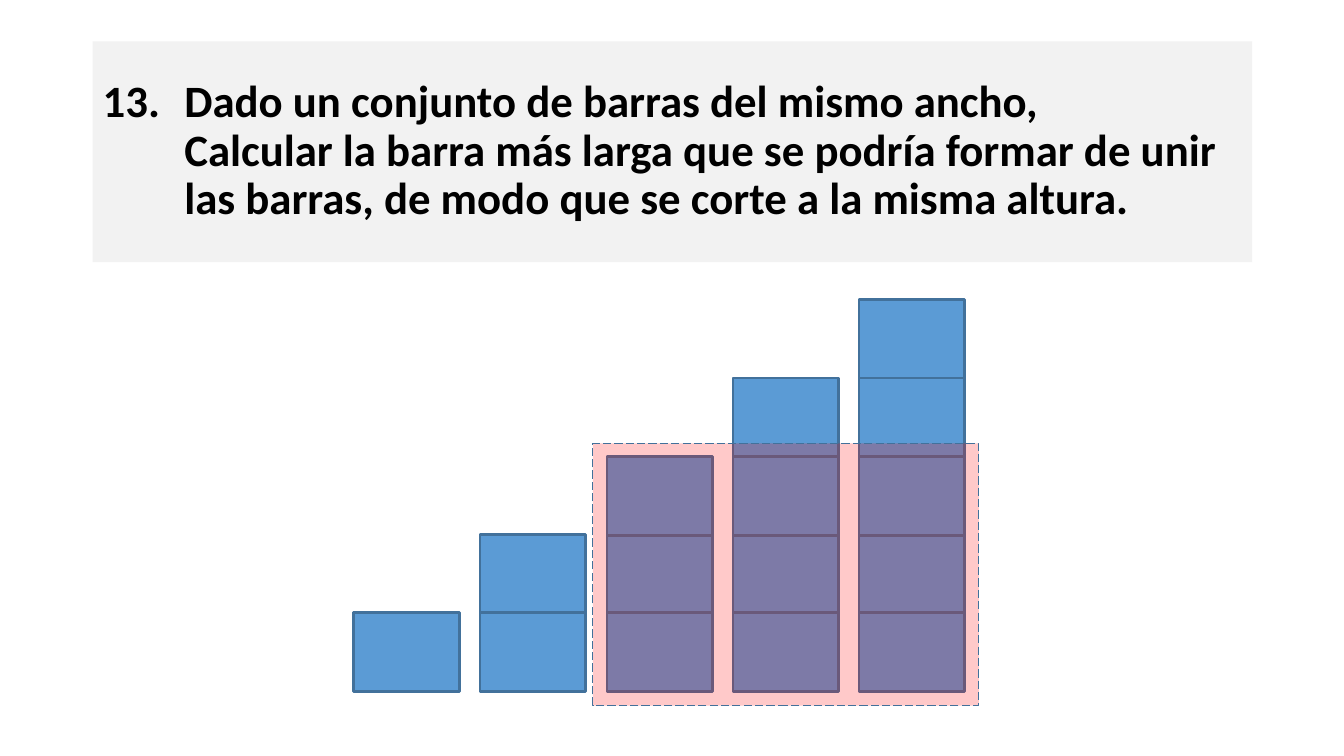
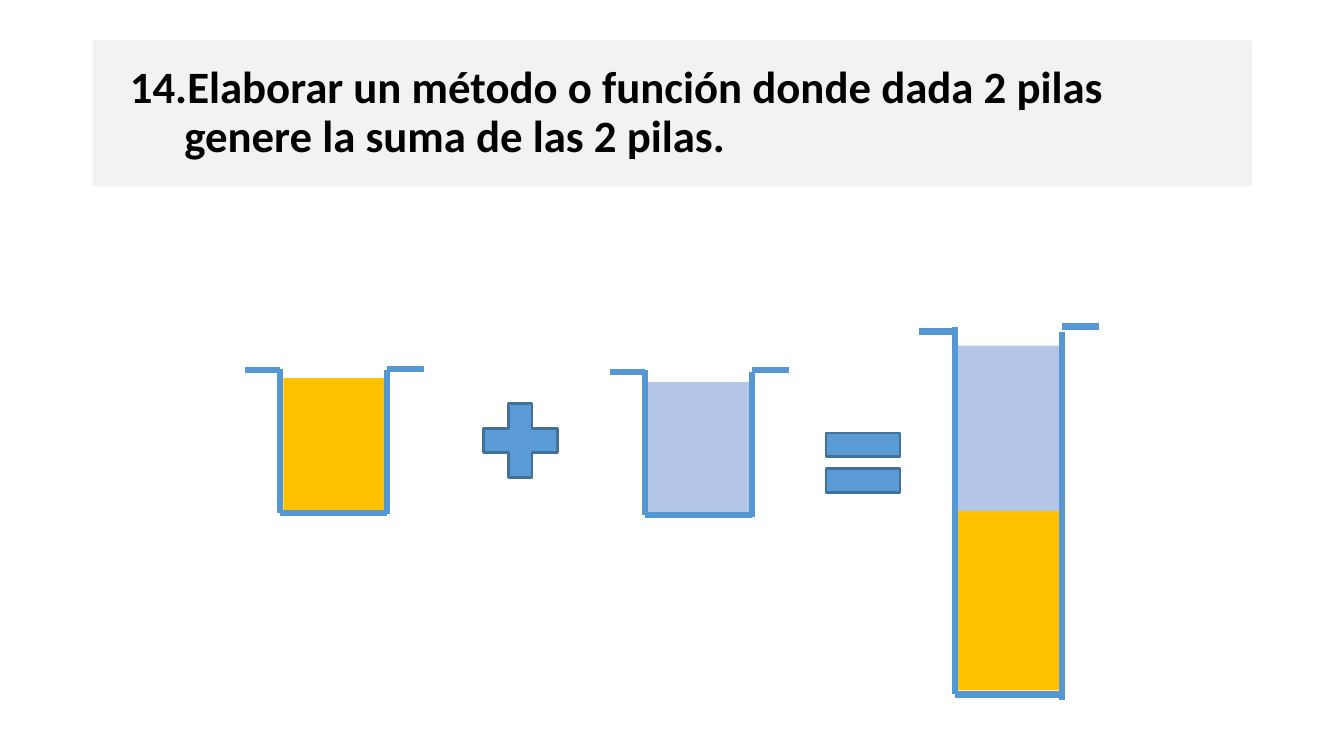
"""Build two exercise slides: joining bars and adding two stacks."""
from lxml.etree import SubElement as Sub
from pptx import Presentation
from pptx.dml.color import RGBColor as RGB
from pptx.enum.dml import MSO_LINE as Dash
from pptx.enum.shapes import MSO_CONNECTOR as Link, MSO_SHAPE as Kind
from pptx.enum.text import MSO_ANCHOR as Anchor, PP_ALIGN as Align
from pptx.oxml.ns import qn
from pptx.util import Pt

PX = 9144
FONT = "Calibri"
BLACK = RGB(0x00, 0x00, 0x00)
GRAY = RGB(0xF2, 0xF2, 0xF2)
BLUE = RGB(0x5B, 0x9B, 0xD5)
EDGE = RGB(0x42, 0x71, 0x9B)
GLASS = RGB(0x55, 0x97, 0xD3)
RED = RGB(0xFF, 0x00, 0x00)
GOLD = RGB(0xFF, 0xC0, 0x00)
PALE = RGB(0xB3, 0xC6, 0xE7)


def px(*nums):
    return [num * PX for num in nums]


def shape(slide, box, fill, kind=Kind.RECTANGLE, edge=0, adj=(), alpha=100):
    item = slide.shapes.add_shape(kind, *px(*box))
    item.shadow.inherit = False
    for num, val in enumerate(adj):
        item.adjustments[num] = val
    item.fill.solid()
    item.fill.fore_color.rgb = fill
    if alpha < 100:
        tint = item._element.spPr.find(qn("a:solidFill")).find(qn("a:srgbClr"))
        Sub(tint, qn("a:alpha"), val=str(alpha * 1000))
    if edge:
        item.line.color.rgb = EDGE
        item.line.width = Pt(edge)
    else:
        item.line.fill.background()
    return item


def write(item, text, size=32, bold=True, color=BLACK, start=1, left=81, hang=81):
    frame = item.text_frame
    frame.word_wrap = True
    frame.vertical_anchor = Anchor.MIDDLE
    frame.margin_left = frame.margin_top = frame.margin_bottom = 10 * PX
    frame.margin_right = 14 * PX
    para = frame.paragraphs[0]
    para.text = text
    para.alignment = Align.LEFT
    para.line_spacing = 0.9
    for run in para.runs:
        run.font.name = FONT
        run.font.size = Pt(size)
        run.font.bold = bold
        run.font.color.rgb = color
    props = para._p.get_or_add_pPr()
    props.set("marL", str(left * PX))
    props.set("indent", str(-hang * PX))
    Sub(Sub(props, qn("a:buClr")), qn("a:srgbClr"), val=str(color))
    Sub(props, qn("a:buFont"), typeface="+mj-lt")
    Sub(props, qn("a:buAutoNum"), type="arabicPeriod", startAt=str(start))


def title(slide, top, high, text, start, hang):
    band = shape(slide, (92, top, 1150, high), GRAY)
    write(band, text, start=start, hang=hang)


def bars(slide, left, base, count, wide=105, high=78, pitch=125.3, step=77.8):
    for col in range(count):
        for row in range(col + 1):
            spot = left + round(col * pitch), base - round((row + 1) * step)
            shape(slide, (*spot, wide, high), BLUE, edge=2)


def cup(slide, left, top, high, drop, fills, wide=106, rim=35):
    for color, shift, down, deep in fills:
        shape(slide, (left + shift, top + down, 103, deep), color)
    right, base = left + wide, top + high
    group = slide.shapes.add_group_shape()
    for ends in (
        (left - rim, top + drop, left, top + drop),
        (right, top, right + rim + 2, top),
        (left, base, right, base),
        (left, top, left, base),
        (right, top + drop, right, base + drop),
    ):
        line = group.shapes.add_connector(Link.STRAIGHT, *px(*ends))
        line.line.color.rgb = GLASS
        line.line.width = Pt(4.5)
        Sub(line._element.spPr, qn("a:effectLst"))


def join(slide):
    title(slide, 41, 219,
          "Dado un conjunto de barras del mismo ancho,\n"
          "Calcular la barra más larga que se podría formar de unir las barras, "
          "de modo que se corte a la misma altura.", 13, 81)
    bars(slide, 351, 686, 5)
    frame = shape(slide, (588, 440, 383, 260), RED, edge=0.75, alpha=21)
    frame.line.dash_style = Dash.LONG_DASH


def add(slide):
    title(slide, 40, 145,
          "Elaborar un método o función donde dada 2 pilas "
          "genere la suma de las 2 pilas.", 14, 54)
    cup(slide, 278, 366, 143, 1, [(GOLD, 3, 9, 132)])
    shape(slide, (466, 387, 100, 100), BLUE, Kind.MATH_PLUS, 2, (0.235,))
    cup(slide, 640, 367, 144, 2, [(PALE, 0, 12, 132)])
    shape(slide, (806, 409, 100, 100), BLUE, Kind.MATH_EQUAL, 2, (0.235, 0.118))
    cup(slide, 947, 324, 365, 5, [(GOLD, 1, 183, 178), (PALE, 3, 19, 164)])


def main():
    deck = Presentation()
    deck.slide_width, deck.slide_height = px(1333, 750)
    for build in (join, add):
        build(deck.slides.add_slide(deck.slide_layouts[6]))
    deck.save("out.pptx")


if __name__ == "__main__":
    main()
